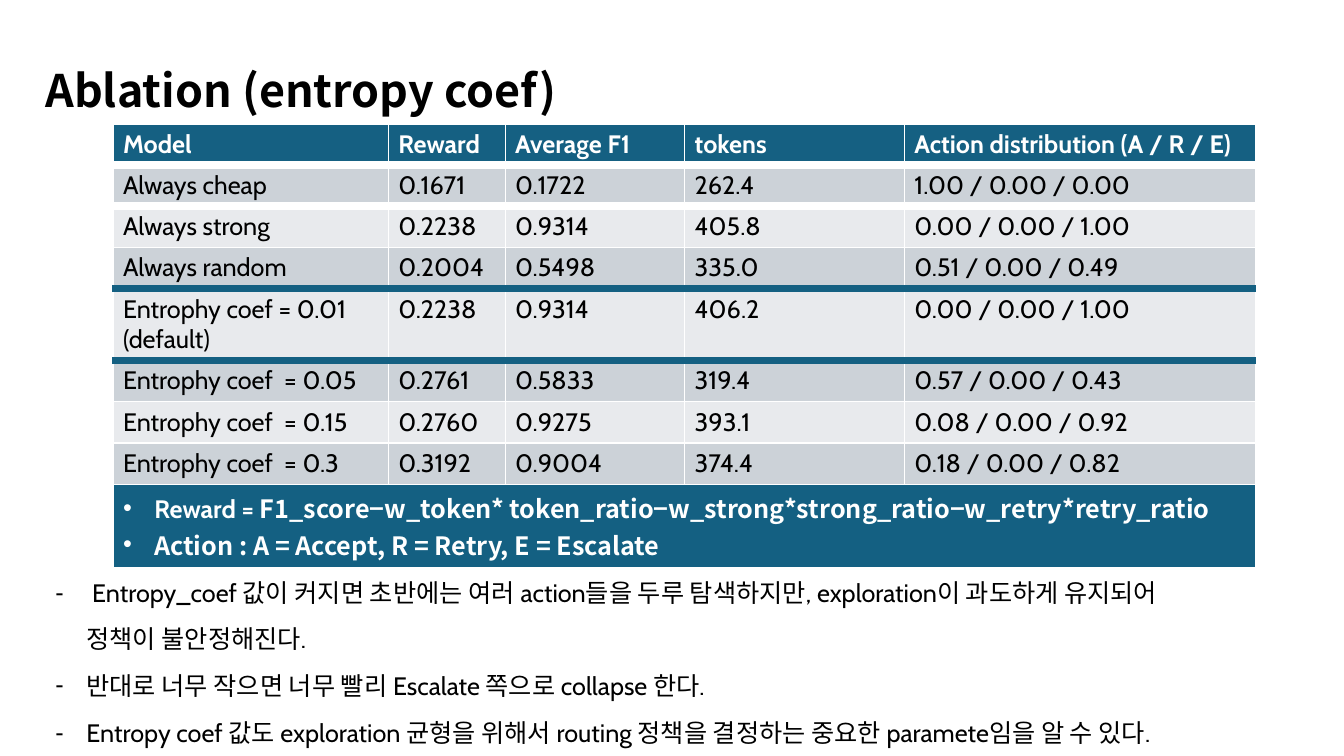
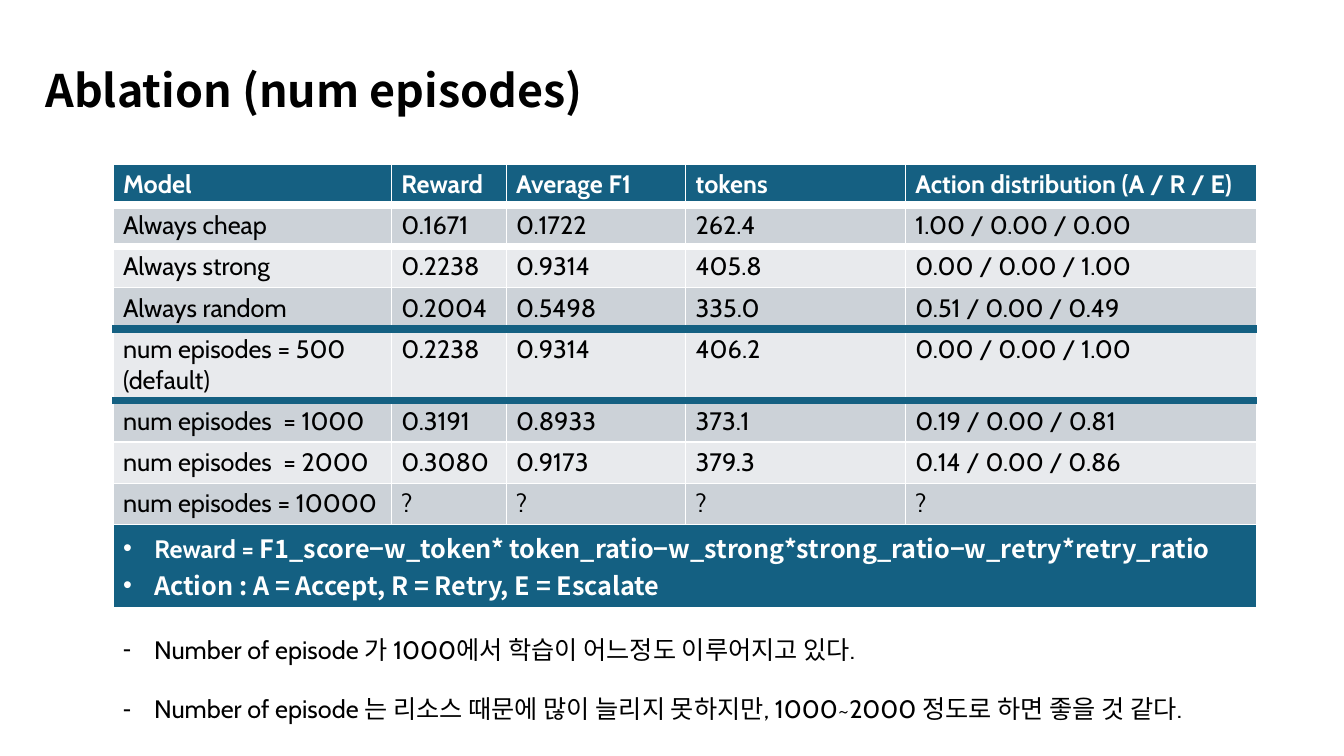
from lxml import etree
from pptx import Presentation
from pptx.dml.color import RGBColor
from pptx.enum.text import MSO_ANCHOR, MSO_AUTO_SIZE, PP_ALIGN
from pptx.oxml.ns import qn
from pptx.util import Inches, Pt

COLORS = {
    "text": "000000",
    "white": "FFFFFF",
    "header": "156082",
    "accent": "146082",
    "dark_row": "CCD2D8",
    "light_row": "E8EAED",
}
BODY_FONT = "Cabin"
STRONG_FONT = "Noto Sans CJK KR"
BODY = {"name": BODY_FONT, "size": Pt(18), "bold": False}
BODY_BOLD = {**BODY, "bold": True}
STRONG = {**BODY_BOLD, "name": STRONG_FONT}
TITLE = {**STRONG, "size": Pt(32)}

TABLE_LEFT = 1.12
ROW_HEIGHTS = [0.4, 0.41, 0.41, 0.41, 0.71, 0.41, 0.41, 0.41, 0.81]
THIN_RULE = ("white", 1)
THICK_RULES = {1: ("white", 6), 2: ("white", 6), 4: ("accent", 6), 5: ("accent", 6)}

HEADER = ["Model", "Reward", "Average F1", "tokens", "Action distribution (A / R / E)"]
BASELINES = [
    ["Always cheap", "0.1671", "0.1722", "262.4", "1.00 / 0.00 / 0.00"],
    ["Always strong", "0.2238", "0.9314", "405.8", "0.00 / 0.00 / 1.00"],
    ["Always random", "0.2004", "0.5498", "335.0", "0.51 / 0.00 / 0.49"],
]
DEFAULT_RESULT = ["0.2238", "0.9314", "406.2", "0.00 / 0.00 / 1.00"]
LEGEND = [
    [
        ("Reward = ", BODY_BOLD),
        ("F1_score−w_token* token_ratio−w_strong*strong_ratio−w_retry*retry_ratio", STRONG),
    ],
    [("Action : A = Accept, R = Retry, E = Escalate", STRONG)],
]

ENTROPY_ROWS = [
    ["Entrophy coef = 0.01\n(default)", *DEFAULT_RESULT],
    ["Entrophy coef  = 0.05", "0.2761", "0.5833", "319.4", "0.57 / 0.00 / 0.43"],
    ["Entrophy coef  = 0.15", "0.2760", "0.9275", "393.1", "0.08 / 0.00 / 0.92"],
    ["Entrophy coef  = 0.3", "0.3192", "0.9004", "374.4", "0.18 / 0.00 / 0.82"],
]
ENTROPY_NOTES = [
    " Entropy_coef 값이 커지면 초반에는 여러 action들을 두루 탐색하지만, exploration이 과도하게 유지되어 정책이 불안정해진다.",
    "반대로 너무 작으면 너무 빨리 Escalate 쪽으로 collapse 한다.",
    "Entropy coef 값도 exploration 균형을 위해서 routing 정책을 결정하는 중요한 paramete임을 알 수 있다.",
]
EPISODE_ROWS = [
    ["num episodes = 500\n(default)", *DEFAULT_RESULT],
    ["num episodes  = 1000", "0.3191", "0.8933", "373.1", "0.19 / 0.00 / 0.81"],
    ["num episodes  = 2000", "0.3080", "0.9173", "379.3", "0.14 / 0.00 / 0.86"],
    ["num episodes = 10000", "?", "?", "?", "?"],
]
EPISODE_NOTES = [
    "Number of episode 가 1000에서 학습이 어느정도 이루어지고 있다.",
    "Number of episode 는 리소스 때문에 많이 늘리지 못하지만, 1000~2000 정도로 하면 좋을 것 같다.",
]


def rgb(color):
    return RGBColor.from_string(COLORS[color])


def set_all(obj, values):
    for name, value in values.items():
        setattr(obj, name, value)


def add_bullet(p, char):
    pPr = p._p.get_or_add_pPr()
    pPr.set("marL", str(Inches(0.31)))
    pPr.set("indent", str(-Inches(0.31)))
    etree.SubElement(pPr, qn("a:buFont"), typeface="Arial")
    etree.SubElement(pPr, qn("a:buChar"), char=char)


def write(tf, paragraphs, color="text", bullet=None, spacing=None):
    for i, runs in enumerate(paragraphs):
        p = tf.paragraphs[0] if i == 0 else tf.add_paragraph()
        set_all(p, {"alignment": PP_ALIGN.LEFT, **(spacing or {})})
        if bullet:
            add_bullet(p, bullet)
        for text, font in runs:
            r = p.add_run()
            r.text = text
            set_all(r.font, font)
            r.font.color.rgb = rgb(color)
            etree.SubElement(r._r.get_or_add_rPr(), qn("a:ea"), typeface=font["name"])


def add_title(s, text):
    sp = s.shapes.title
    set_all(sp, {"left": Inches(0.45), "top": Inches(0.38),
                 "width": Inches(7.2), "height": Inches(0.78)})
    tf = sp.text_frame
    set_all(tf, {"margin_left": 0, "margin_top": 0, "margin_right": 0, "margin_bottom": 0,
                 "word_wrap": False, "auto_size": MSO_AUTO_SIZE.NONE,
                 "vertical_anchor": MSO_ANCHOR.TOP})
    write(tf, [[(text, TITLE)]], spacing={"line_spacing": Pt(55.5)})


def set_borders(cell, top, bottom):
    tcPr = cell._tc.get_or_add_tcPr()
    sides = {"lnL": THIN_RULE, "lnR": THIN_RULE, "lnT": top, "lnB": bottom}
    for side, (color, width) in sides.items():
        ln = etree.SubElement(tcPr, qn(f"a:{side}"), w=str(Pt(width)))
        fill = etree.SubElement(ln, qn("a:solidFill"))
        etree.SubElement(fill, qn("a:srgbClr"), val=COLORS[color])


def style_cell(cell, row, fill):
    set_borders(cell, THICK_RULES.get(row, THIN_RULE), THICK_RULES.get(row + 1, THIN_RULE))
    cell.fill.solid()
    cell.fill.fore_color.rgb = rgb(fill)


def add_results(s, top, widths, rows):
    data = [HEADER, *BASELINES, *rows]
    last = len(data)
    table = s.shapes.add_table(
        last + 1, len(widths), Inches(TABLE_LEFT), Inches(top),
        Inches(sum(widths)), Inches(sum(ROW_HEIGHTS))).table
    for column, width in zip(table.columns, widths):
        column.width = Inches(width)
    for row, height in zip(table.rows, ROW_HEIGHTS):
        row.height = Inches(height)
    for i, values in enumerate(data):
        fill = "header" if i == 0 else "dark_row" if i % 2 else "light_row"
        color, font = ("white", BODY_BOLD) if i == 0 else ("text", BODY)
        for j, value in enumerate(values):
            cell = table.cell(i, j)
            style_cell(cell, i, fill)
            write(cell.text_frame, [[(line, font)] for line in value.split("\n")], color)
    for j in range(len(widths)):
        style_cell(table.cell(last, j), last, "accent")
    legend = table.cell(last, 0)
    legend.merge(table.cell(last, len(widths) - 1))
    write(legend.text_frame, LEGEND, "white", "•")


def add_notes(s, box, lines, spacing):
    tf = s.shapes.add_textbox(*map(Inches, box)).text_frame
    tf.word_wrap = True
    write(tf, [[(line, BODY)] for line in lines], bullet="-", spacing=spacing)


def main():
    prs = Presentation()
    set_all(prs, {"slide_width": Inches(13.33), "slide_height": Inches(7.5)})
    slides = [
        ("Ablation (entropy coef)", 1.23, [2.73, 1.16, 1.78, 2.18, 3.48], ENTROPY_ROWS,
         (0.45, 5.53, 11.74, 1.9), ENTROPY_NOTES,
         {"line_spacing": 1.5, "space_before": Pt(1.3)}),
        ("Ablation (num episodes)", 1.63, [2.76, 1.14, 1.78, 2.18, 3.48], EPISODE_ROWS,
         (TABLE_LEFT, 6.24, 11.6, 1.2), EPISODE_NOTES, {"space_after": Pt(21)}),
    ]
    for title, top, widths, rows, box, notes, spacing in slides:
        s = prs.slides.add_slide(prs.slide_layouts[5])
        add_title(s, title)
        add_results(s, top, widths, rows)
        add_notes(s, box, notes, spacing)
    prs.save("out.pptx")


if __name__ == "__main__":
    main()
